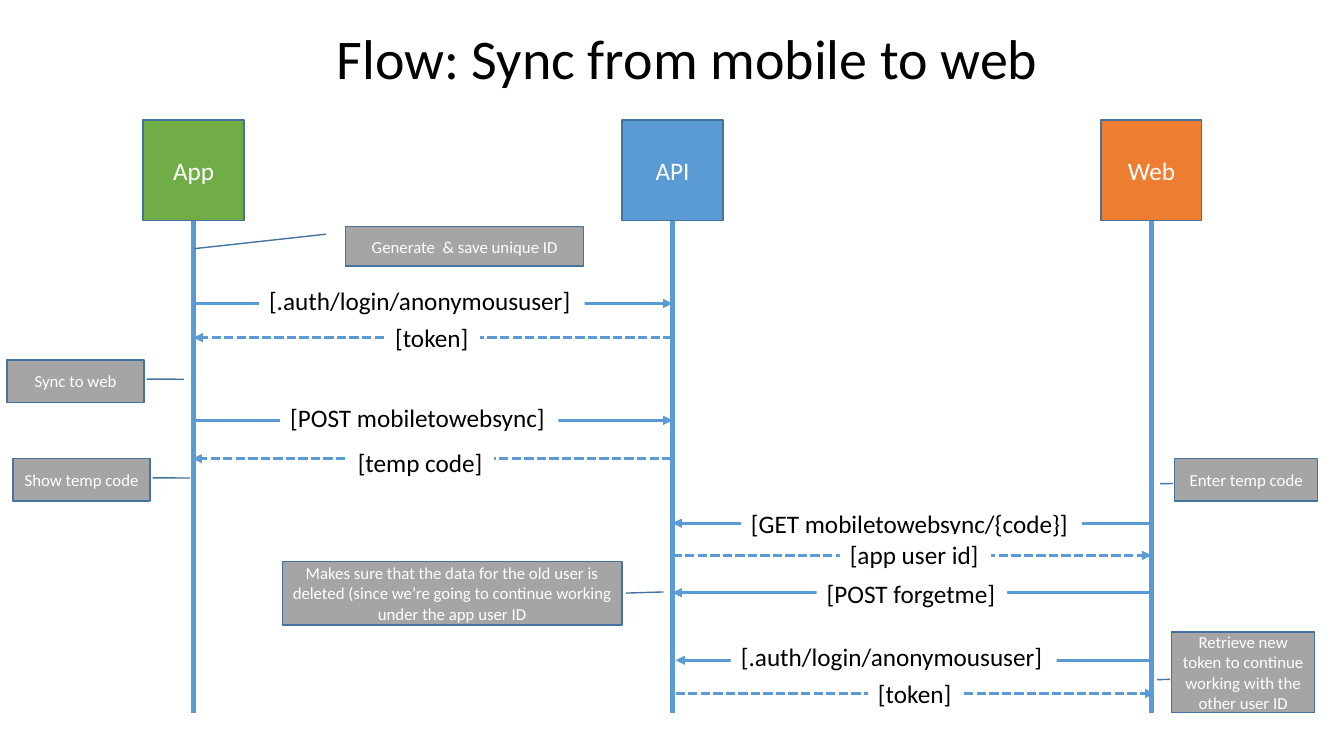
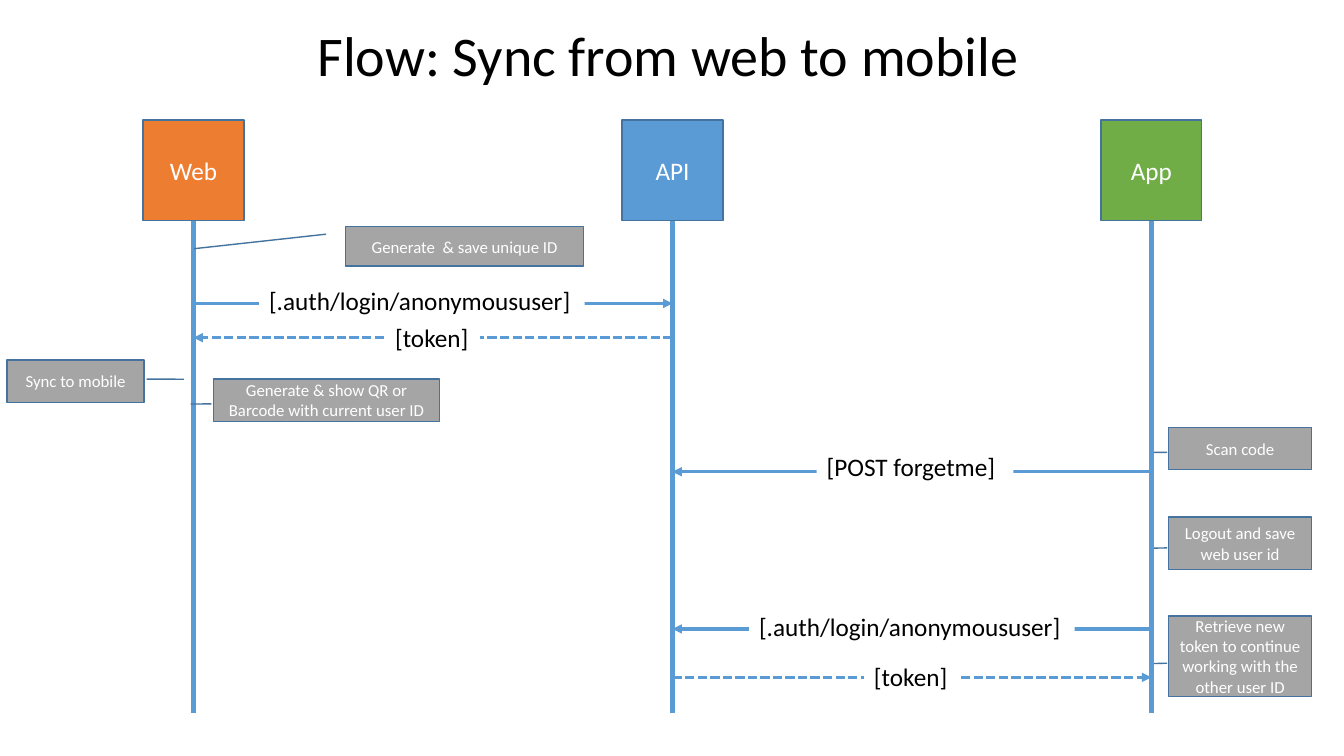
from lxml import etree
from pptx import Presentation
from pptx.dml.color import RGBColor
from pptx.enum.shapes import MSO_CONNECTOR, MSO_SHAPE
from pptx.enum.text import MSO_ANCHOR, MSO_AUTO_SIZE, PP_ALIGN
from pptx.oxml.ns import qn
from pptx.util import Inches, Pt

RECT, NOTE = MSO_SHAPE.RECTANGLE, MSO_SHAPE.LINE_CALLOUT_1
WIRE = MSO_CONNECTOR.STRAIGHT
LEFT, MID = PP_ALIGN.LEFT, PP_ALIGN.CENTER
TOP, CORE = MSO_ANCHOR.TOP, MSO_ANCHOR.MIDDLE
GROW, FIXED = MSO_AUTO_SIZE.SHAPE_TO_FIT_TEXT, MSO_AUTO_SIZE.NONE
FONT = "Calibri"
HUES = {"App": "70AD47", "API": "5B9BD5", "Web": "ED7D31", "wire": "5B9BD5",
        "edge": "43739E", "note": "A5A5A5", "white": "FFFFFF", "black": "000000"}

# Lanes: equal steps across the slide
LANES = [1.92 + 4.75 * step for step in range(3)]
HEAD, HEAD_TOP, FOOT = 1, 1.19, 7.07
ROW = 0.4  # height of a message label

# Pointer of a note: start y, start x, end y, end x as shares of its box
POINT = {
    "far": (0.188, -0.083, 0.558, -0.638),
    "left": (0.588, -0.01, 0.592, -0.102),
    "right": (0.454, 1.019, 0.458, 1.29),
    "near": (0.499, 1.012, 0.481, 1.122),
}


def write(page, text, left, top, wide, high, kind=RECT, fill=None, edge=None,
          size=18, hue="white", align=MID, anchor=CORE, wrap=True, point=()):
    """Add a shape that holds one formatted paragraph."""
    shape = page.shapes.add_shape(kind, Inches(left), Inches(top),
                                  Inches(wide), Inches(high))
    shape.shadow.inherit = False
    for spot, share in enumerate(point):
        shape.adjustments[spot] = share
    if fill:
        shape.fill.solid()
        shape.fill.fore_color.rgb = RGBColor.from_string(HUES[fill])
    else:
        shape.fill.background()
    if edge:
        shape.line.color.rgb = RGBColor.from_string(HUES[edge])
        shape.line.width = Pt(1)
    else:
        shape.line.fill.background()
    frame = shape.text_frame
    frame.word_wrap = wrap
    frame.auto_size = FIXED if wrap else GROW
    frame.vertical_anchor = anchor
    para = frame.paragraphs[0]
    para.alignment = align
    run = para.add_run()
    run.text = text
    run.font.name, run.font.size = FONT, Pt(size)
    run.font.color.rgb = RGBColor.from_string(HUES[hue])


def link(page, x1, y1, x2, y2, width=2.25, dash=False, arrow=True):
    """Draw a straight line, dashed or with an arrow at its end if asked."""
    line = page.shapes.add_connector(WIRE, Inches(x1), Inches(y1),
                                     Inches(x2), Inches(y2))
    line.line.color.rgb = RGBColor.from_string(HUES["wire"])
    line.line.width = Pt(width)
    props = line.line._get_or_add_ln()
    if dash:
        etree.SubElement(props, qn("a:prstDash"), val="sysDash")
    if arrow:
        etree.SubElement(props, qn("a:tailEnd"), type="triangle")
    etree.SubElement(line._element.spPr, qn("a:effectLst"))


LOGIN, TOKEN = "[.auth/login/anonymoususer]", "[token]"
RENEW = "Retrieve new token to continue working with the other user ID"

# Message: text, start lane, end lane, line y, label left, top, width, shift
# A reply is dashed: it runs against the call, outwards from the API
START = [
    (LOGIN, 0, 1, 3.01, 2.57, 2.78, 3.23, 0),
    (TOKEN, 1, 0, 3.35, 3.82, 3.15, 0.94, 0),
]
# Note: text, left, top, width, height, pointer
FIRST = [("Generate  & save unique ID", 3.43, 2.25, 2.36, 0.39, "far")]

SLIDES = [
    {
        "title": ("Flow: Sync from mobile to web", 3.24, 0.18),
        "heads": ["App", "API", "Web"],
        "calls": [
            ("[POST mobiletowebsync]", 0, 1, 4.17, 2.78, 3.94, 2.76, 0),
            ("[temp code]", 1, 0, 4.55, 3.45, 4.39, 1.45, -0.01),
            ("[GET mobiletowebsync/{code}]", 2, 1, 5.19, 7.35, 4.99, 3.38, 0),
            ("[app user id]", 1, 2, 5.51, 8.33, 5.3, 1.5, 0),
            ("[POST forgetme]", 2, 1, 5.88, 8.1, 5.69, 1.89, 0),
            (LOGIN, 2, 1, 6.55, 7.25, 6.31, 3.23, 0.03),
            (TOKEN, 1, 2, 6.88, 8.61, 6.68, 0.94, 0.03),
        ],
        "notes": [
            ("Sync to web", 0.07, 3.57, 1.36, 0.42, "right"),
            ("Show temp code", 0.13, 4.55, 1.36, 0.42, "right"),
            ("Enter temp code", 11.65, 4.55, 1.42, 0.42, "left"),
            ("Makes sure that the data for the old user is deleted (since "
             "we’re going to continue working under the app user ID",
             2.8, 5.57, 3.37, 0.63, "near"),
            (RENEW, 11.62, 6.27, 1.42, 0.8, "left"),
        ],
    },
    {
        "title": ("Flow: Sync from web to mobile", 3.05, 0.15),
        "heads": ["Web", "API", "App"],
        "calls": [
            ("[POST forgetme]", 2, 1, 4.68, 8.1, 4.43, 1.95, 0),
            (LOGIN, 2, 1, 6.24, 7.43, 6.02, 3.23, 0),
            (TOKEN, 1, 2, 6.72, 8.57, 6.51, 0.94, 0),
        ],
        "notes": [
            ("Sync to mobile", 0.07, 3.57, 1.36, 0.42, "right"),
            ("Generate & show QR or Barcode with current user ID",
             2.12, 3.76, 2.24, 0.42, "left"),
            ("Scan code", 11.59, 4.24, 1.42, 0.42, "left"),
            ("Logout and save web user id", 11.59, 5.13, 1.42, 0.52, "left"),
            (RENEW, 11.59, 6.11, 1.42, 0.8, "left"),
        ],
    },
]

deck = Presentation()
deck.slide_width, deck.slide_height = Inches(13.33), Inches(7.5)
blank = deck.slide_layouts[6]

for plan in SLIDES:
    page = deck.slides.add_slide(blank)
    title, left, top = plan["title"]
    write(page, title, left, top, 7.23, 0.77, size=40, hue="black",
          align=LEFT, anchor=TOP, wrap=False)

    for name, lane in zip(plan["heads"], LANES):
        write(page, name, lane - HEAD / 2, HEAD_TOP, HEAD, HEAD,
              fill=name, edge="edge")
        link(page, lane, HEAD_TOP + HEAD, lane, FOOT, width=3, arrow=False)

    for text, start, end, y, left, top, wide, shift in START + plan["calls"]:
        link(page, LANES[start] + shift, y, LANES[end] + shift, y,
             dash=start == 1)
        write(page, text, left, top, wide, ROW, fill="white", hue="black",
              align=LEFT, anchor=TOP, wrap=False)

    for text, left, top, wide, high, side in FIRST + plan["notes"]:
        write(page, text, left, top, wide, high, kind=NOTE, fill="note",
              edge="edge", size=12, point=POINT[side])

deck.save("out.pptx")
